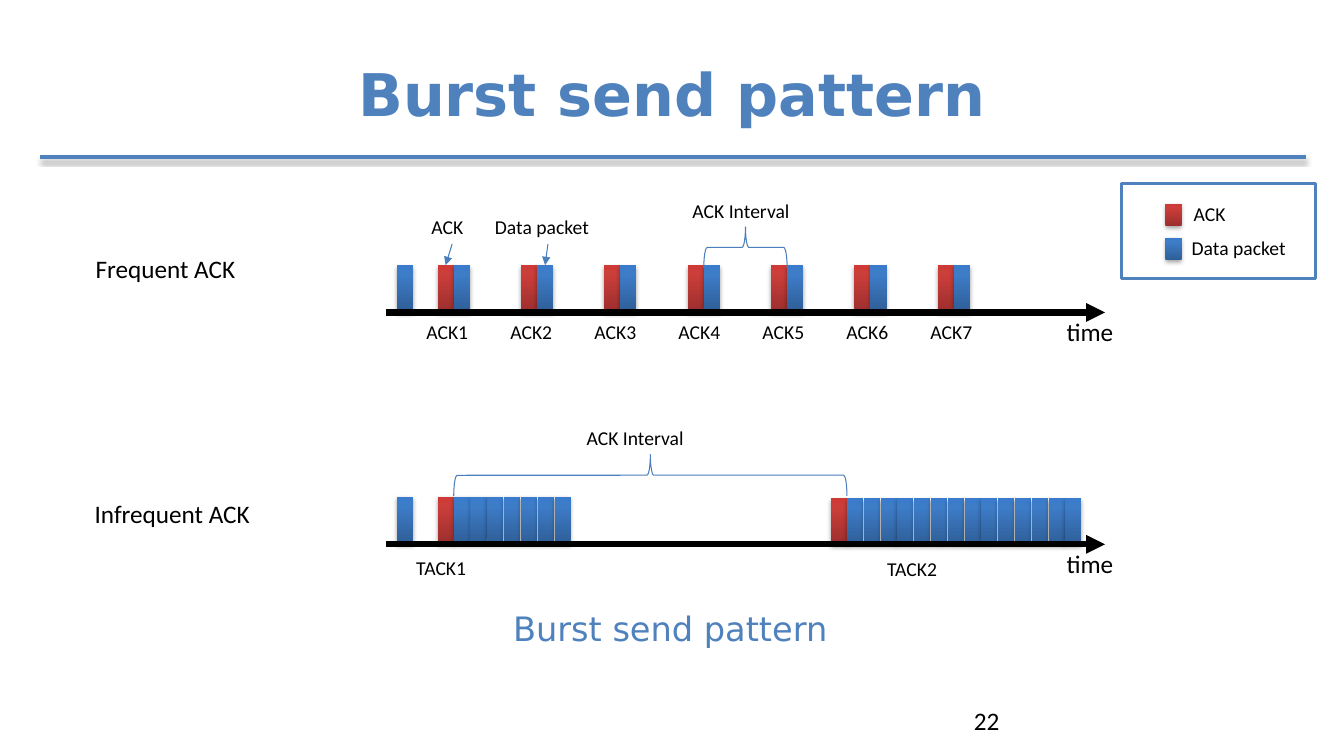
from lxml.etree import SubElement
from pptx import Presentation
from pptx.dml.color import RGBColor
from pptx.enum.shapes import MSO_CONNECTOR, MSO_SHAPE
from pptx.enum.text import MSO_ANCHOR, PP_ALIGN
from pptx.oxml import parse_xml
from pptx.oxml.ns import nsdecls, qn
from pptx.util import Inches, Pt

BLUE = RGBColor(0x4F, 0x81, 0xBD)
THIN = RGBColor(0x4B, 0x7E, 0xBC)
BLACK = RGBColor(0, 0, 0)
WHITE = RGBColor(255, 255, 255)
ACK = ("9C2F2D", "CB3E3A", "CE3B37")
DATA = ("2F5F99", "3D7CC7", "3A7CCB")
SANS = "DejaVu Sans"

WIDE, HIGH = 13.33, 7.5
TITLE = "Burst send pattern"
# name, left and top of the name, top of the blocks
ROWS = [("Frequent ACK", 0.85, 2.46, 2.63), ("Infrequent ACK", 0.84, 4.89, 4.93)]
# label, label left, label top, burst left, burst top, data packets
TACKS = [("TACK1", 4.03, 5.47, 4.34, 4.93, 7), ("TACK2", 8.7, 5.48, 8.24, 4.94, 14)]
LEGEND = [("ACK", ACK, 2.02, 11.74, 1.95), ("Data packet", DATA, 2.36, 11.72, 2.29)]
ACKS = 7
START, STEP = 4.34, 4.96 / 6      # first ACK and the ACK interval
NAMES, PITCH = 4.13, 5 / 6        # first ACK label and the label spacing
BLOCK, TALL, SLOT = 0.16, 0.46, 1 / 6
LONE, AXIS, TIP = 3.94, 3.83, 10.96
BRACE = 0.41

deck = Presentation()
deck.slide_width, deck.slide_height = Inches(WIDE), Inches(HIGH)
slide = deck.slides.add_slide(deck.slide_layouts[6])
board = slide.shapes


def write(text, x, y, w, h=0.34, size=14, font="Calibri", color=BLACK,
          bold=False, align=PP_ALIGN.LEFT, anchor=MSO_ANCHOR.TOP):
    box = board.add_textbox(Inches(x), Inches(y), Inches(w), Inches(h))
    frame = box.text_frame
    frame.word_wrap = True
    frame.vertical_anchor = anchor
    par = frame.paragraphs[0]
    par.alignment = align
    run = par.add_run()
    run.text = text
    run.font.size, run.font.name, run.font.bold = Pt(size), font, bold
    run.font.color.rgb = color
    return box


def shade(effects):
    """Fill an effect list with the soft shadow that falls downwards."""
    drop = SubElement(effects, qn("a:outerShdw"), blurRad="40000", dist="23000",
                      dir="5400000", rotWithShape="0")
    tint = SubElement(drop, qn("a:srgbClr"), val="000000")
    SubElement(tint, qn("a:alpha"), val="35000")


def block(x, y, tones, h=TALL, home=board):
    """Draw one packet, shaded from dark at the foot to light at the top."""
    shape = home.add_shape(MSO_SHAPE.RECTANGLE, Inches(x), Inches(y),
                           Inches(BLOCK), Inches(h))
    shape.line.fill.background()
    stops = "".join(f'<a:gs pos="{pos}"><a:srgbClr val="{tone}"/></a:gs>'
                    for pos, tone in zip((0, 80000, 100000), tones))
    props = shape._element.spPr
    props.insert(2, parse_xml(
        f'<a:gradFill {nsdecls("a")} rotWithShape="1"><a:gsLst>{stops}</a:gsLst>'
        '<a:lin ang="16200000" scaled="0"/></a:gradFill>'))
    shape.shadow.inherit = False
    shade(props.find(qn("a:effectLst")))
    return shape


def burst(x, y, count):
    """Group an ACK with the data packets that it sets free."""
    home = board.add_group_shape().shapes
    head = block(x, y, ACK, home=home)
    return [head] + [block(x + BLOCK + i * SLOT, y, DATA, home=home)
                     for i in range(count)]


def line(x1, y1, x2, y2, color, width, arrow=True, shadow=False):
    link = board.add_connector(MSO_CONNECTOR.STRAIGHT, Inches(x1), Inches(y1),
                               Inches(x2), Inches(y2))
    link.line.color.rgb, link.line.width = color, Pt(width)
    if arrow:
        SubElement(link.line._get_or_add_ln(), qn("a:tailEnd"), type="triangle")
    effects = SubElement(link._element.spPr, qn("a:effectLst"))
    if shadow:
        shade(effects)
    return link


def brace(left, right, top):
    """Span left to right with a left brace turned to point upwards."""
    span = right - left
    shape = board.add_shape(
        MSO_SHAPE.LEFT_BRACE, Inches((left + right - BRACE) / 2),
        Inches(top + (BRACE - span) / 2), Inches(BRACE), Inches(span))
    shape.rotation = 90
    shape.fill.background()
    shape.line.color.rgb, shape.line.width = THIN, Pt(0.75)
    shape.shadow.inherit = False


def point(text, x, w, target):
    """Place a callout and point its arrow at the top of a packet."""
    note = write(text, x, 2.08, w)
    link = line(x, 2.42, x, 2.63, THIN, 0.75)
    link.begin_connect(note, 2)
    link.end_connect(target, 0)


line(12.95, 1.56, 0.4, 1.56, BLUE, 3, arrow=False, shadow=True)
write(TITLE, 0, 0.3, WIDE, 1.25, size=42, font=SANS, color=BLUE, bold=True,
      align=PP_ALIGN.CENTER, anchor=MSO_ANCHOR.MIDDLE)

top = ROWS[0][3]
pairs = [burst(START + i * STEP, top, 1) for i in range(ACKS)]
for i in range(ACKS):
    write(f"ACK{i + 1}", NAMES + i * PITCH, 3.12, 0.72)
for label, x, y, left, peak, count in TACKS:
    burst(left, peak, count)
    write(label, x, y, 0.82)

for name, x, y, peak in ROWS:
    write(name, x, y, 2.4, 0.5, size=18)
    block(LONE, peak, DATA)
    foot = peak + 0.47
    line(AXIS, foot, TIP, foot, BLACK, 4.5)
    write("time", 10.48, foot - 0.01, 0.84, 0.5, size=18)

point("ACK", 4.18, 0.61, pairs[0][0])
point("Data packet", 4.81, 1.25, pairs[1][1])
brace(START + 3 * STEP + BLOCK, START + 4 * STEP + BLOCK, 2.25)
write("ACK Interval", 6.77, 1.92, 1.3)
brace(TACKS[0][3] + BLOCK, TACKS[1][3] + BLOCK, 4.51)
write("ACK Interval", 5.72, 4.18, 1.47)

frame = board.add_shape(MSO_SHAPE.RECTANGLE, Inches(11.12), Inches(1.82),
                        Inches(1.93), Inches(0.94))
frame.fill.solid()
frame.fill.fore_color.rgb = WHITE
frame.line.color.rgb, frame.line.width = BLUE, Pt(2)
frame.shadow.inherit = False
for text, tones, peak, x, y in LEGEND:
    block(11.56, peak, tones, h=0.22)
    write(text, x, y, 1.25)

write(TITLE, 4.99, 5.98, 3.49, 0.5, size=24, font=SANS, color=BLUE)
write("22", 9.56, 6.95, 3.11, 0.4, size=18)
deck.save("out.pptx")
